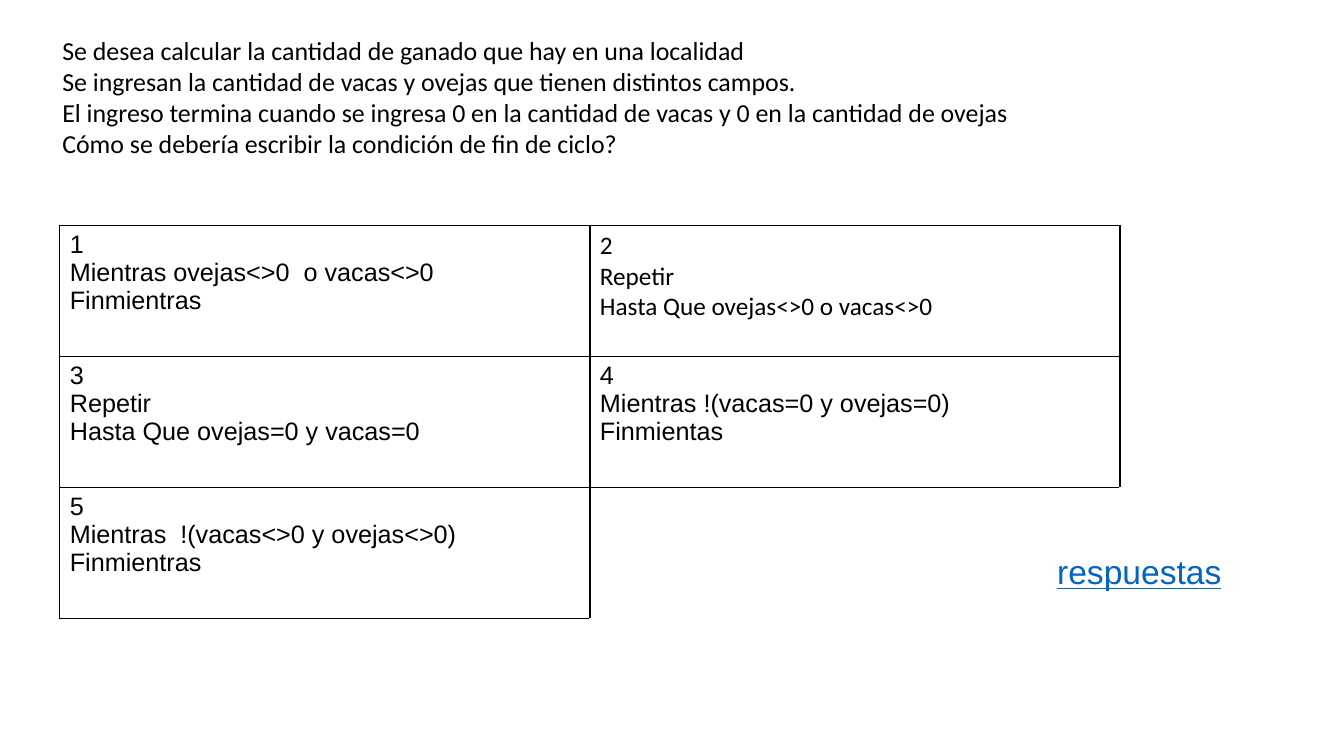
from lxml import etree
from pptx import Presentation
from pptx.dml.color import RGBColor as RGB
from pptx.oxml.ns import qn
from pptx.util import Pt

THEME = {
    "ink": "000000", "paper": "FFFFFF", "link": "0563C1",
    "body": "Calibri", "code": "Arial",
    "intro_size": 18.5, "cell_size": 18, "link_size": 24, "border": 1,
}


def write(tf, text, font, size, color=THEME["ink"], underline=None, wrap=True):
    tf.word_wrap = wrap
    for i, line in enumerate(text.split("\n")):
        p = tf.paragraphs[0] if i == 0 else tf.add_paragraph()
        r = p.add_run()
        r.text = line
        r.font.name, r.font.size = font, Pt(size)
        r.font.color.rgb = RGB.from_string(color)
        r.font.underline = underline


def set_borders(cell, sides):
    tc_pr = cell._tc.get_or_add_tcPr()
    for i, side in enumerate(sides):
        ln = etree.Element(qn(f"a:ln{side}"), w=str(Pt(THEME["border"])))
        fill = etree.SubElement(ln, qn("a:solidFill"))
        etree.SubElement(fill, qn("a:srgbClr"), val=THEME["ink"])
        tc_pr.insert(i, ln)


prs = Presentation()
prs.slide_width, prs.slide_height = Pt(960), Pt(540)
s = prs.slides.add_slide(prs.slide_layouts[6])

# Problem statement
intro = s.shapes.add_textbox(Pt(37.4), Pt(21), Pt(785.5), Pt(312.5))
write(intro.text_frame,
      "Se desea calcular la cantidad de ganado que hay en una localidad\n"
      "Se ingresan la cantidad de vacas y ovejas que tienen distintos campos.\n"
      "El ingreso termina cuando se ingresa 0 en la cantidad de vacas y 0 en la cantidad de ovejas\n"
      "Cómo se debería escribir la condición de fin de ciclo?",
      font=THEME["body"], size=THEME["intro_size"])

# Options table, numbered row by row
options = [
    ("Mientras ovejas<>0  o vacas<>0\nFinmientras", THEME["code"]),
    ("Repetir\nHasta Que ovejas<>0 o vacas<>0", THEME["body"]),
    ("Repetir\nHasta Que ovejas=0 y vacas=0", THEME["code"]),
    ("Mientras !(vacas=0 y ovejas=0)\nFinmientas", THEME["code"]),
    ("Mientras  !(vacas<>0 y ovejas<>0)\nFinmientras", THEME["code"]),
]
table = s.shapes.add_table(3, 2, Pt(42.7), Pt(161), Pt(757.4), Pt(280.8)).table
table.first_row = table.horz_banding = False
for i, cell in enumerate(table.iter_cells()):
    cell.fill.solid()
    cell.fill.fore_color.rgb = RGB.from_string(THEME["paper"])
    if i < len(options):
        text, font = options[i]
        write(cell.text_frame, f"{i + 1}\n{text}", font=font, size=THEME["cell_size"])
        set_borders(cell, "LRTB")
    else:
        set_borders(cell, "LT")

# Answers label
answers = s.shapes.add_textbox(Pt(748), Pt(390.2), Pt(133.2), Pt(36))
write(answers.text_frame, "respuestas", font=THEME["code"], size=THEME["link_size"],
      color=THEME["link"], underline=True, wrap=False)

prs.save("out.pptx")
